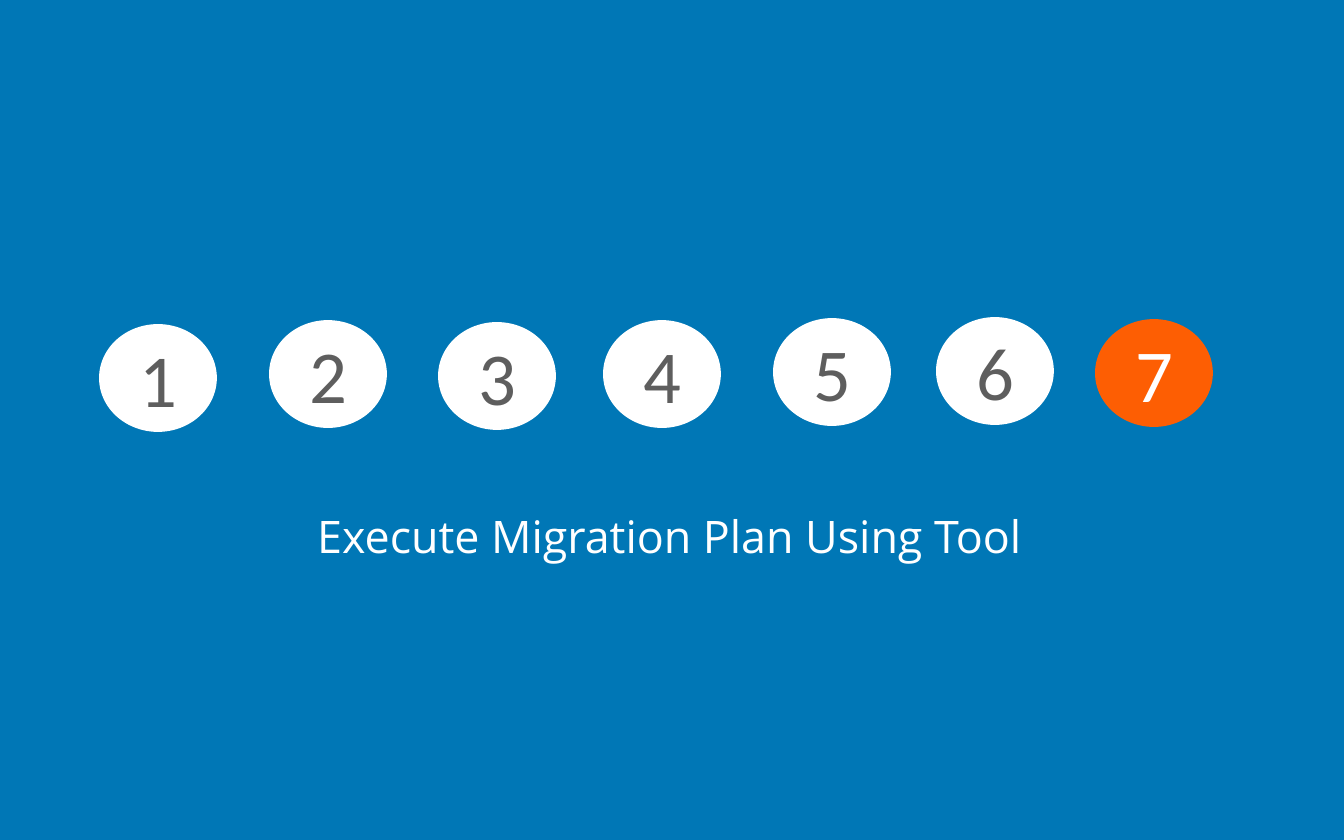
from pptx import Presentation
from pptx.dml.color import RGBColor
from pptx.enum.shapes import MSO_SHAPE
from pptx.enum.text import MSO_ANCHOR, PP_ALIGN
from pptx.util import Emu, Pt


def px(n):
    return Emu(round(n * 914400 / 134.4))


def color(value):
    return RGBColor.from_string(value)


BLUE, WHITE, GREY, ORANGE = "0077B6", "FFFFFF", "5E5E5E", "FD5E03"
TITLE = {"name": "Open Sans", "size": Pt(24)}
NUMBER = {"name": "Calibri", "size": Pt(40)}
CIRCLE_W, CIRCLE_H = 116, 106
CIRCLES = [(100, 325), (270, 321), (439, 323), (604, 321),
           (774, 319), (937, 318), (1096, 320)]

prs = Presentation()
prs.slide_width, prs.slide_height = px(1344), px(840)
s = prs.slides.add_slide(prs.slide_layouts[6])
s.background.fill.solid()
s.background.fill.fore_color.rgb = color(BLUE)

title = s.shapes.add_textbox(px(152), px(318), px(1035), px(421))
texts = [(title, "Execute Migration Plan Using Tool", TITLE, WHITE, 1.25)]

for step, (x, y) in enumerate(CIRCLES, 1):
    current = step == len(CIRCLES)
    fill = ORANGE if current else WHITE
    sp = s.shapes.add_shape(MSO_SHAPE.OVAL, px(x), px(y), px(CIRCLE_W), px(CIRCLE_H))
    sp.shadow.inherit = False
    sp.fill.solid()
    sp.fill.fore_color.rgb = color(fill)
    sp.line.color.rgb = color(fill)
    sp.line.width = Pt(1)
    texts.append((sp, str(step), NUMBER, WHITE if current else GREY, 1.0))

for sp, text, style, ink, spacing in texts:
    tf = sp.text_frame
    tf.word_wrap = True
    tf.vertical_anchor = MSO_ANCHOR.MIDDLE
    p = tf.paragraphs[0]
    p.alignment = PP_ALIGN.CENTER
    p.line_spacing = spacing
    r = p.add_run()
    r.text = text
    for key, value in style.items():
        setattr(r.font, key, value)
    r.font.color.rgb = color(ink)

prs.save("out.pptx")
